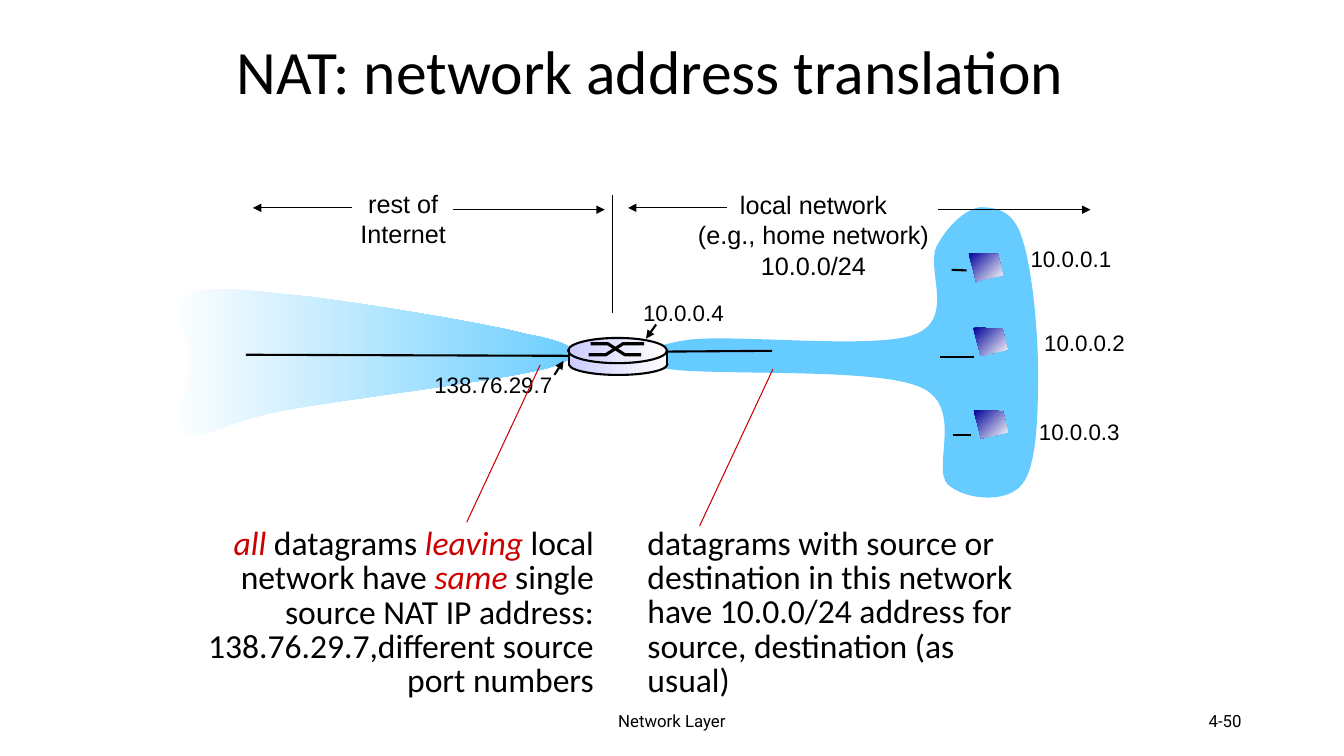
from lxml import etree
from pptx import Presentation
from pptx.dml.color import RGBColor
from pptx.enum import shapes, text
from pptx.oxml import ns
from pptx.util import Pt

BLACK = RGBColor(0x00, 0x00, 0x00)
WHITE = RGBColor(0xFF, 0xFF, 0xFF)
RED = RGBColor(0xCC, 0x00, 0x00)
SKY = RGBColor(0x66, 0xCC, 0xFF)
LILAC = RGBColor(0xCC, 0xCC, 0xFF)
NAVY = RGBColor(0x00, 0x00, 0x99)
LEFT, CENTER, RIGHT = text.PP_ALIGN.LEFT, text.PP_ALIGN.CENTER, text.PP_ALIGN.RIGHT

# Content: text (asterisks mark red italics) with left, top, width, height
TITLE = ["NAT: network address translation"], (162, 18, 637, 71)
FOOTERS = [("Network Layer", (318, 500.4, 324, 28.8), CENTER),
           ("4-50", (678, 500.4, 216, 28.8), RIGHT)]
ADDRESSES = [("10.0.0.1", (729, 171.4, 72.7, 26.6)),
             ("10.0.0.2", (738.7, 231.8, 72.7, 26.6)),
             ("10.0.0.3", (735, 295.2, 72.7, 26.6)),
             ("10.0.0.4", (452.2, 210.2, 72.7, 26.6)),
             ("138.76.29.7", (303.1, 261.7, 99.4, 26.6))]
REGIONS = [(["rest of", "Internet"], (250.2, 131, 75.6, 50.4)),
           (["local network", "(e.g., home network)", "10.0.0/24"],
            (491.4, 131.8, 179.3, 72))]
NOTES = [(["datagrams with source or", "destination in this network",
           "have 10.0.0/24 address for", "source, destination (as usual)"],
          (455.4, 373.5, 290, 105), LEFT),
         (["*all* datagrams *leaving* local",
           "network have *same* single source NAT IP address: "
           "138.76.29.7,different source port numbers"],
          (141.1, 373.7, 290.2, 130), RIGHT)]

# Cloud outlines: start point, then curves of two controls and an end
LOCAL_CLOUD = [
    (490, 243),
    (521, 238), (624, 250), (653, 239), (683, 228), (661, 192), (669, 176),
    (677, 161), (690, 149), (700.5, 148), (711, 148), (724, 150), (730, 170),
    (737, 190), (741.5, 235), (741.5, 265), (741.5, 294), (741, 333), (730, 346),
    (719, 360), (689, 357), (677, 346), (665, 334), (690, 289), (656, 276),
    (622, 262), (502, 269), (474.5, 263), (447, 257), (463, 247), (490, 243)]
INTERNET_CLOUD = [
    (377, 239),
    (348, 231), (261, 217), (221, 212), (181, 208), (149, 203), (134.5, 211),
    (120, 218), (135, 240), (135, 257), (135, 274), (123, 303), (134.5, 309.5),
    (145, 315), (160, 301), (203, 293), (246, 285), (365, 271), (394, 262),
    (423, 253), (407, 244), (377, 239)]

# Lines: from x, y to x, y
LINKS = [(455.8, 251.3, 551.5, 250.6), (695.5, 254.9, 671.8, 254.9),
         (679.7, 192.7, 690.5, 193.2), (680.4, 311, 693.4, 311),
         (175.7, 253.4, 414, 254.2)]
POINTERS = [(468.7, 231.8, 461.5, 241.9), (396, 267.8, 402.5, 257.8)]
SPANS = [(670.3, 149.8, 779, 149.8), (519.1, 148.5, 448.6, 148.5),
         (323.3, 149.8, 432, 149.8), (251.3, 148.5, 180.7, 148.5)]
DIVIDER = (437.8, 139, 437.8, 223.9)
CALLOUTS = [(499.7, 375.8, 552.2, 263.5), (333.4, 373, 385.9, 260.6)]
ROUTER_SIDES = [(406.5, 249.1, 406.5, 261.4), (476.6, 249.8, 476.6, 261.4)]
ROUTER_CROSS = [[(420.5, 253.4), (432.7, 253.4), (445, 245.5), (460.1, 245.5)],
                [(421.9, 245.5), (434.2, 245.5), (446.4, 253.4), (457.9, 253.4)]]
HOSTS = [(691.9, 180.7), (695.2, 234), (695.5, 293)]
HOST_OUTLINE = [(0, 0), (20.9, 0.7), (24.5, 15.8), (5.3, 20.2), (0, 0)]

prs = Presentation()
prs.slide_width, prs.slide_height = Pt(960), Pt(540)
s = prs.slides.add_slide(prs.slide_layouts[5])


def write(paras, box, sp=None, size=16, font="Arial", align=LEFT, spacing=1.0,
          wrap=False, anchor=text.MSO_ANCHOR.TOP):
    sp = sp or s.shapes.add_textbox(0, 0, 0, 0)
    sp.left, sp.top, sp.width, sp.height = map(Pt, box)
    tf = sp.text_frame
    tf.word_wrap, tf.vertical_anchor = wrap, anchor
    tf.auto_size = (text.MSO_AUTO_SIZE.NONE if wrap
                    else text.MSO_AUTO_SIZE.SHAPE_TO_FIT_TEXT)
    for i, para in enumerate(paras):
        p = tf.add_paragraph() if i else tf.paragraphs[0]
        p.alignment, p.line_spacing = align, spacing
        for j, part in enumerate(para.split("*")):
            if part:
                r = p.add_run()
                r.text, emphasis = part, j % 2 == 1
                r.font.name, r.font.size = font, Pt(size)
                r.font.italic = emphasis
                r.font.color.rgb = RED if emphasis else BLACK


def paint(sp, colors=(), angle=0, line=None):
    sp.shadow.inherit = False
    if len(colors) == 2:
        sp.fill.gradient()
        sp.fill.gradient_angle = angle
        for stop, color in zip(sp.fill.gradient_stops, colors):
            stop.color.rgb = color
    elif colors:
        sp.fill.solid()
        sp.fill.fore_color.rgb = colors[0]
    else:
        sp.fill.background()
    if line:
        sp.line.color.rgb, sp.line.width = BLACK, Pt(line)
    else:
        sp.line.fill.background()


def outline(points, parent=s, close=True, curved=False, **look):
    start, *rest = [(Pt(x), Pt(y)) for x, y in points]
    fb = parent.shapes.build_freeform(*start)
    fb.add_line_segments(rest, close=close)
    sp = fb.convert_to_shape()
    if curved:  # every three line points become one Bézier segment
        segments = list(sp._element.iter(ns.qn("a:lnTo")))
        for i in range(0, len(rest), 3):
            bezier = etree.Element(ns.qn("a:cubicBezTo"))
            segments[i].addprevious(bezier)
            for segment in segments[i:i + 3]:
                bezier.append(segment[0])
                segment.getparent().remove(segment)
    paint(sp, **look)


def connect(ends, parent=s, color=BLACK, width=1.5, arrow=False):
    cx = parent.shapes.add_connector(shapes.MSO_CONNECTOR.STRAIGHT, *map(Pt, ends))
    cx.line.color.rgb, cx.line.width = color, Pt(width)
    if arrow:
        ln = cx.line._get_or_add_ln()
        etree.SubElement(ln, ns.qn("a:tailEnd"), type="triangle")
    etree.SubElement(cx._element.spPr, ns.qn("a:effectLst"))


# Clouds and title
outline(LOCAL_CLOUD, curved=True, colors=[SKY])
write(*TITLE, sp=s.shapes.title, size=44, font="Calibri", spacing=0.9, wrap=True,
      anchor=text.MSO_ANCHOR.MIDDLE)
outline(INTERNET_CLOUD, curved=True, colors=[WHITE, SKY])

# Labels, notes and footers
for label, box in ADDRESSES:
    write([label], box)
for lines, box in REGIONS:
    write(lines, box, size=18, align=CENTER)
for lines, box, align in NOTES:
    write(lines, box, size=24, font="Calibri", align=align, spacing=0.85, wrap=True)
for label, box, align in FOOTERS:
    write([label], box, size=12, font="Roboto", align=align, wrap=True,
          anchor=text.MSO_ANCHOR.MIDDLE)

# Links, arrows and callouts
for ends in LINKS:
    connect(ends)
for ends in POINTERS:
    connect(ends, arrow=True)
for ends in SPANS:
    connect(ends, width=0.75, arrow=True)
connect(DIVIDER, width=0.75)
for ends in CALLOUTS:
    connect(ends, color=RED, width=0.75)

# Router
router = s.shapes.add_group_shape()
OVAL, RECT = shapes.MSO_SHAPE.OVAL, shapes.MSO_SHAPE.RECTANGLE
for kind, box, line in [(OVAL, (406.5, 252.7, 70.2, 15.1), 1.5),
                        (RECT, (406.5, 251.3, 70.2, 9.4), None),
                        (OVAL, (405.8, 241.4, 70.6, 18), 1.5)]:
    paint(router.shapes.add_shape(kind, *map(Pt, box)), [LILAC, WHITE], line=line)
for points in ROUTER_CROSS:
    outline(points, router, close=False, line=2.25)
for ends in ROUTER_SIDES:
    connect(ends, router)

# Hosts
for x, y in HOSTS:
    outline([(x + dx, y + dy) for dx, dy in HOST_OUTLINE],
            colors=[NAVY, WHITE], angle=315)

prs.save("out.pptx")
